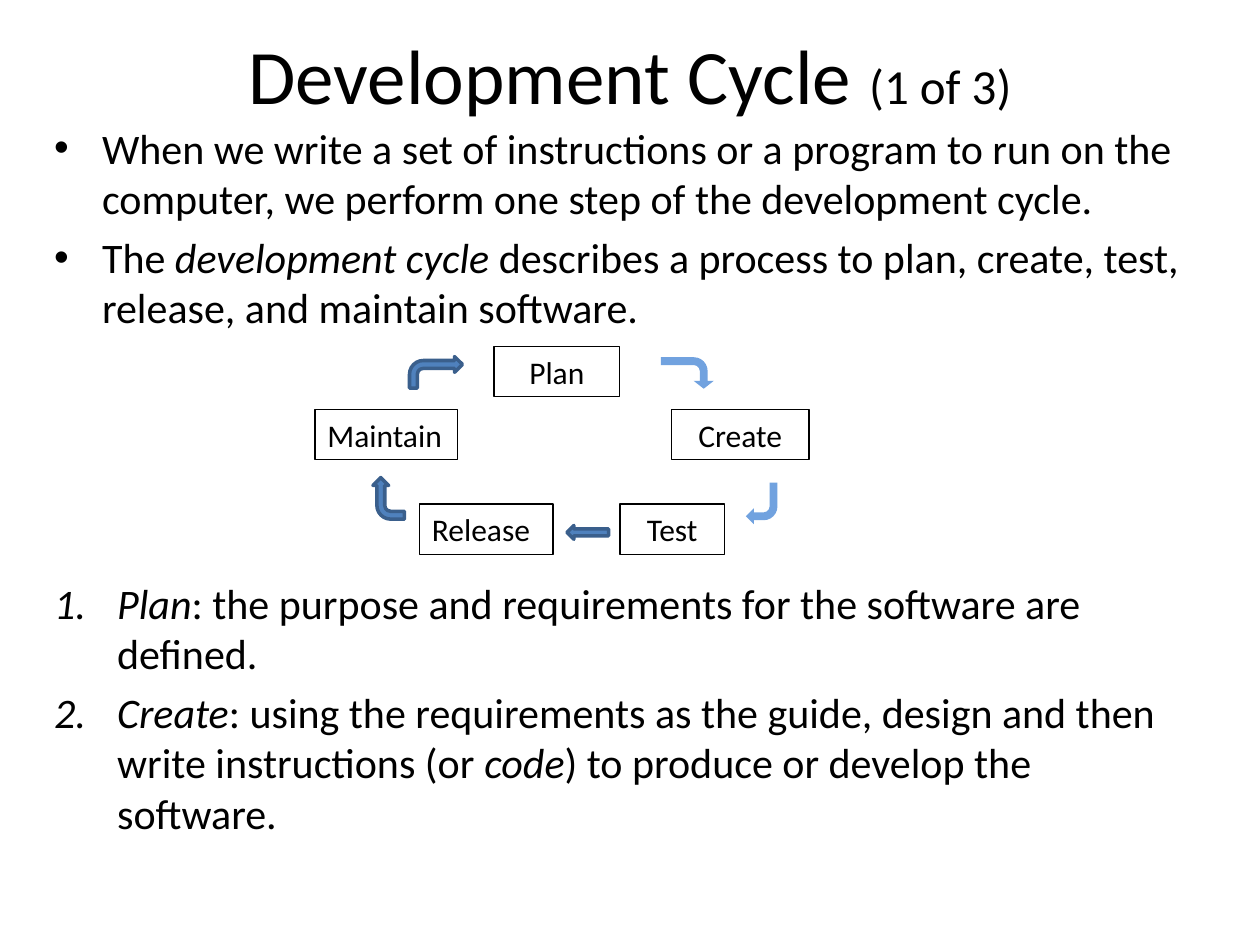
from lxml.etree import SubElement
from pptx import Presentation
from pptx.dml.color import RGBColor
from pptx.enum.shapes import MSO_SHAPE
from pptx.enum.text import MSO_ANCHOR, MSO_AUTO_SIZE, PP_ALIGN
from pptx.oxml.ns import qn
from pptx.util import Inches, Pt

COLORS = {"text": "000000", "arrow": "4F81BD", "arrow_edge": "3A5F8C", "light_arrow": "71A2DF"}
FONT = "Calibri"

POINTS = [
    (["When we write a set of instructions or a program to run on the computer, "
      "we perform one step of the development cycle."], False),
    (["The ", "development cycle ",
      "describes a process to plan, create, test, release, and maintain software."], False),
    (["", "Plan", ": the purpose and requirements for the software are defined."], True),
    (["", "Create", ": using the requirements as the guide, design and then write instructions (or ",
      "code", ") to produce or develop the software."], True),
]
STEPS = [
    ("Plan", 1.42, 0, 1, PP_ALIGN.CENTER),
    ("Create", 2.83, 0.5, 1.09, PP_ALIGN.CENTER),
    ("Test", 2.42, 1.25, 0.83, PP_ALIGN.CENTER),
    ("Release", 0.83, 1.25, 1.06, PP_ALIGN.LEFT),
    ("Maintain", 0, 0.5, 1.13, PP_ALIGN.LEFT),
]
BEND = MSO_SHAPE.BENT_ARROW
ARROWS = [
    (BEND, 0.75, 0.08, 0.42, 0.25, 0, False),
    (BEND, 2.83, 0, 0.25, 0.42, 90, True),
    (BEND, 3.42, 1.08, 0.25, 0.33, 180, True),
    (MSO_SHAPE.LEFT_ARROW, 2, 1.42, 0.33, 0.11, 0, False),
    (BEND, 0.42, 1.08, 0.33, 0.25, 270, False),
]


def color(name):
    """Return the named colour."""
    return RGBColor.from_string(COLORS[name])


def style(paragraph, size):
    """Set the font of a paragraph."""
    paragraph.font.name = FONT
    paragraph.font.size = Pt(size)
    paragraph.font.color.rgb = color("text")


def place(shape, left, top, width, height):
    """Move a placeholder to a box given in inches."""
    shape.left, shape.top = Inches(left), Inches(top)
    shape.width, shape.height = Inches(width), Inches(height)


def add_title(title, *box):
    """Fill the title with its heading and smaller counter."""
    place(title, *box)
    title.text_frame.auto_size = MSO_AUTO_SIZE.NONE
    title.text_frame.vertical_anchor = MSO_ANCHOR.MIDDLE
    heading = title.text_frame.paragraphs[0]
    heading.alignment = PP_ALIGN.CENTER
    style(heading, 44)
    heading.add_run().text = "Development Cycle "
    counter = heading.add_run()
    counter.text = "(1 of 3)"
    counter.font.size = Pt(28)


def add_points(body, *box):
    """Fill the body with bullets, a gap for the cycle, and numbered steps."""
    place(body, *box)
    frame = body.text_frame
    frame.auto_size = MSO_AUTO_SIZE.NONE
    for index, (parts, numbered) in enumerate(POINTS):
        point = frame.paragraphs[0] if index == 0 else frame.add_paragraph()
        style(point, 24)
        if numbered and not POINTS[index - 1][1]:
            point.space_before = Pt(140)
        properties = point._p.get_or_add_pPr()
        indent = Inches(0.5 if numbered else 0.38)
        properties.set("marL", str(indent))
        properties.set("indent", str(-indent))
        if numbered:
            numbering = SubElement(properties, qn("a:buFont"), typeface="+mj-lt")
            numbering.addnext(SubElement(properties, qn("a:buAutoNum"), type="arabicPeriod"))
            properties.append(properties.find(qn("a:defRPr")))
        for position, words in enumerate(parts):
            if words:
                run = point.add_run()
                run.text = words
                if position % 2:
                    run.font.italic = True


def add_cycle(shapes, left, top):
    """Draw the step boxes and the arrows between them."""
    for name, x, y, width, align in STEPS:
        step = shapes.add_shape(MSO_SHAPE.RECTANGLE, Inches(left + x), Inches(top + y),
                                Inches(width), Inches(0.4))
        step.shadow.inherit = False
        step.fill.background()
        step.line.color.rgb = color("text")
        step.line.width = Pt(0.75)
        step.text_frame.word_wrap = name != "Maintain"
        label = step.text_frame.paragraphs[0]
        label.text = name
        label.alignment = align
        style(label, 18)
    for kind, x, y, width, height, turn, light in ARROWS:
        arrow = shapes.add_shape(kind, Inches(left + x), Inches(top + y),
                                 Inches(width), Inches(height))
        arrow.rotation = turn
        arrow.shadow.inherit = False
        arrow.fill.solid()
        arrow.fill.fore_color.rgb = color("light_arrow" if light else "arrow")
        if light:
            arrow.line.fill.background()
        else:
            arrow.line.color.rgb = color("arrow_edge")
            arrow.line.width = Pt(2)
        if turn == 90:
            for index, ratio in enumerate((0.25, 0.32, 0.25, 0.44)):
                arrow.adjustments[index] = ratio


def main():
    """Build and save the slide."""
    deck = Presentation()
    deck.slide_width, deck.slide_height = Inches(10), Inches(7.5)
    slide = deck.slides.add_slide(deck.slide_layouts[1])
    add_title(slide.shapes.title, 0.5, 0.17, 9, 0.83)
    add_points(slide.placeholders[1], 0.33, 0.92, 9.17, 6.08)
    add_cycle(slide.shapes, 2.5, 2.75)
    deck.save("out.pptx")


main()
